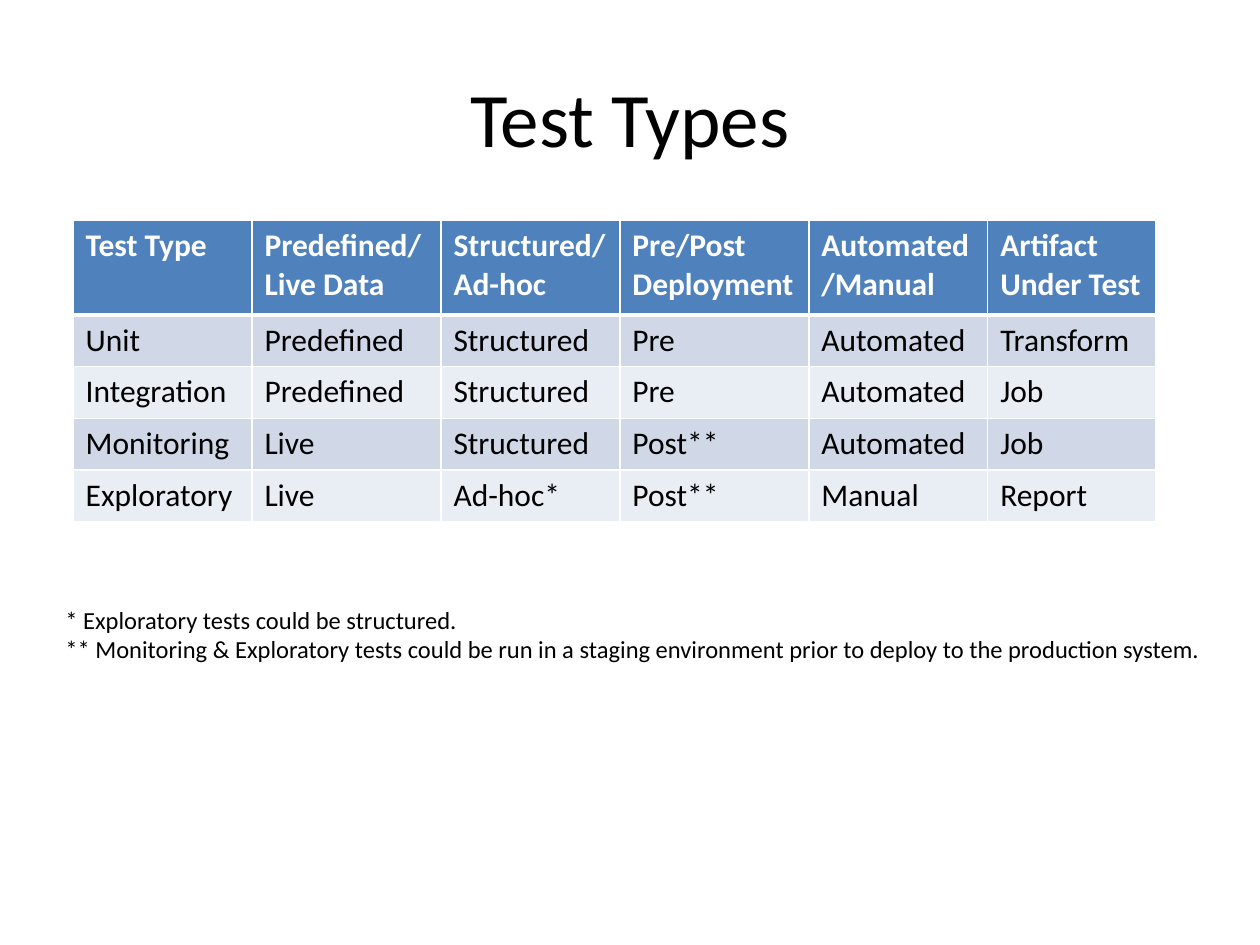
import pptx
import pptx.dml.color
import pptx.enum.text
import pptx.oxml.ns
import pptx.util
import lxml.etree
from pptx.util import Inches

BLACK = pptx.dml.color.RGBColor(0x00, 0x00, 0x00)
WHITE = pptx.dml.color.RGBColor(0xFF, 0xFF, 0xFF)
HEADER_BLUE = pptx.dml.color.RGBColor(0x4F, 0x81, 0xBD)
BAND_DARK = pptx.dml.color.RGBColor(0xD0, 0xD8, 0xE8)
BAND_LIGHT = pptx.dml.color.RGBColor(0xE9, 0xED, 0xF4)

ROWS = [
    ["Test Type", "Predefined/Live Data", "Structured/Ad-hoc",
     "Pre/Post Deployment", "Automated/Manual", "Artifact Under Test"],
    ["Unit", "Predefined", "Structured", "Pre", "Automated", "Transform"],
    ["Integration", "Predefined", "Structured", "Pre", "Automated", "Job"],
    ["Monitoring", "Live", "Structured", "Post**", "Automated", "Job"],
    ["Exploratory", "Live", "Ad-hoc*", "Post**", "Manual", "Report"],
]
COLUMN_WIDTHS = [1.42, 1.5, 1.42, 1.5, 1.42, 1.33]
HEADER_HEIGHT = 0.75
ROW_HEIGHT = 0.41
FOOTNOTES = [
    "* Exploratory tests could be structured.",
    "** Monitoring & Exploratory tests could be run in a staging environment "
    "prior to deploy to the production system.",
]


def style_font(para, size, color, bold=False):
    para.font.name = "Calibri"
    para.font.size = pptx.util.Pt(size)
    para.font.color.rgb = color
    para.font.bold = bold


def add_border(cell, side, points):
    qn = pptx.oxml.ns.qn
    properties = cell._tc.get_or_add_tcPr()
    line = lxml.etree.SubElement(properties, qn(f"a:{side}"), w=str(pptx.util.Pt(points)))
    fill = lxml.etree.SubElement(line, qn("a:solidFill"))
    lxml.etree.SubElement(fill, qn("a:srgbClr"), val=str(WHITE))


deck = pptx.Presentation()
deck.slide_width = Inches(10)
deck.slide_height = Inches(7.5)
page = deck.slides.add_slide(deck.slide_layouts[5])

title = page.shapes.title
title.left, title.top = Inches(0.5), Inches(0.3)
title.width, title.height = Inches(9), Inches(1.25)
title.text_frame.text = "Test Types"
title.text_frame.vertical_anchor = pptx.enum.text.MSO_ANCHOR.MIDDLE
title_para = title.text_frame.paragraphs[0]
title_para.alignment = pptx.enum.text.PP_ALIGN.CENTER
style_font(title_para, 44, BLACK)

table = page.shapes.add_table(
    len(ROWS), len(COLUMN_WIDTHS), Inches(0.58), Inches(1.75),
    Inches(sum(COLUMN_WIDTHS)), Inches(HEADER_HEIGHT + ROW_HEIGHT * (len(ROWS) - 1)),
).table
for column, width in zip(table.columns, COLUMN_WIDTHS):
    column.width = Inches(width)

for row_index, labels in enumerate(ROWS):
    is_header = row_index == 0
    table.rows[row_index].height = Inches(HEADER_HEIGHT if is_header else ROW_HEIGHT)
    band = BAND_DARK if row_index % 2 else BAND_LIGHT
    for column_index, label in enumerate(labels):
        cell = table.cell(row_index, column_index)
        cell.text = label
        style_font(cell.text_frame.paragraphs[0], 18, WHITE if is_header else BLACK, is_header)
        for side in ("lnL", "lnR", "lnT", "lnB"):
            below_header = (row_index, side) in ((0, "lnB"), (1, "lnT"))
            add_border(cell, side, 3 if below_header else 1)
        cell.fill.solid()
        cell.fill.fore_color.rgb = HEADER_BLUE if is_header else band

box = page.shapes.add_textbox(Inches(0.42), Inches(4.75), Inches(9.25), Inches(0.57))
box.text_frame.word_wrap = True
box.text_frame.auto_size = pptx.enum.text.MSO_AUTO_SIZE.SHAPE_TO_FIT_TEXT
box.text_frame.text = "\n".join(FOOTNOTES)
for para in box.text_frame.paragraphs:
    style_font(para, 14, BLACK)

deck.save("out.pptx")
